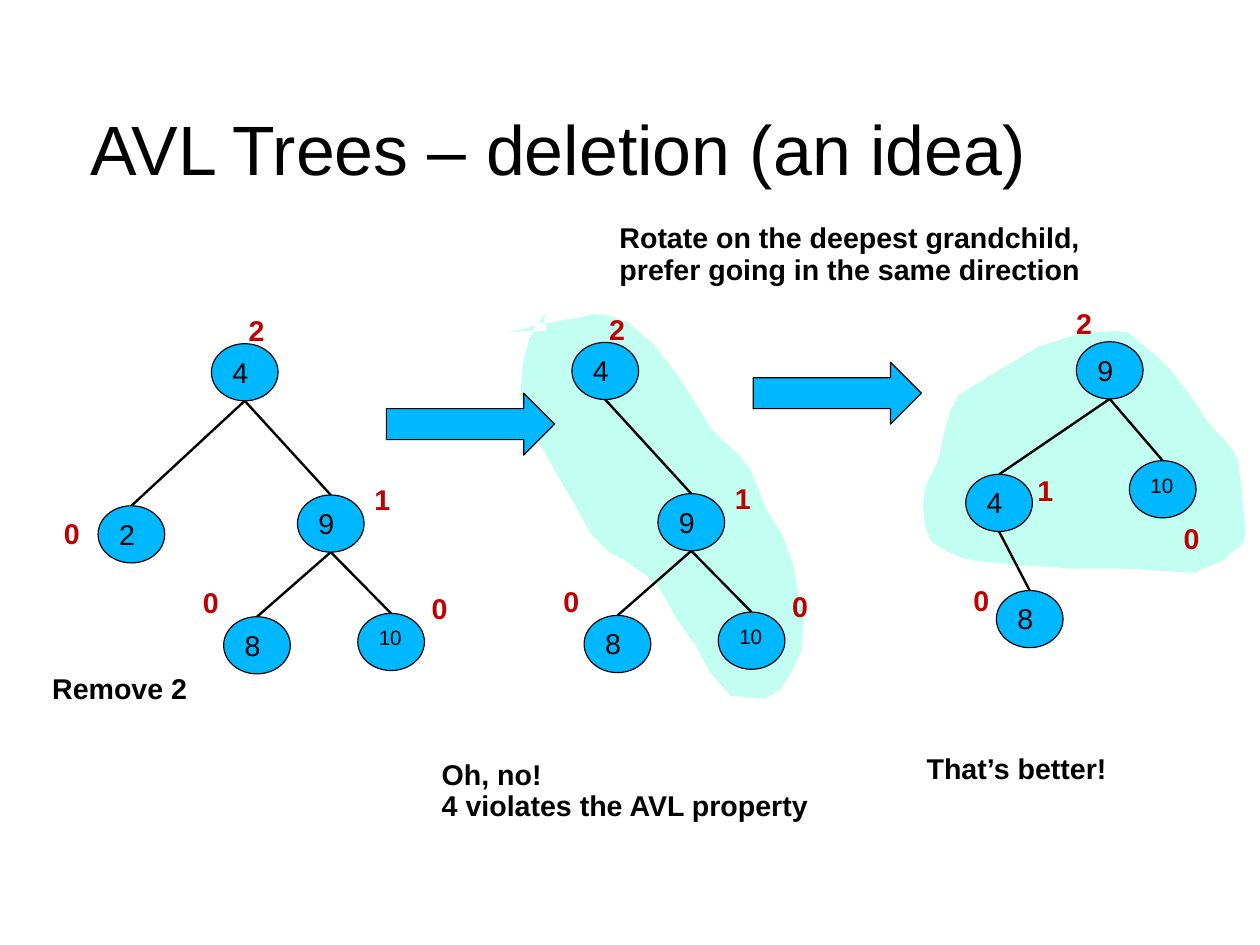
from dataclasses import dataclass
from typing import Any

from lxml import etree
from pptx import Presentation
from pptx import util as u
from pptx.dml import color
from pptx.enum import shapes as sh, text as tx
from pptx.oxml import ns

Pt = u.Pt
HUE = {"ink": "000000", "node": "00B8FF", "tag": "C00000", "glow": "C2FFF0", "rim": "FFFFFF"}
W, H = 42, 36  # node size
PLAIN = {"size": Pt(18), "name": "Arial", "bold": False}
SMALL = {**PLAIN, "size": Pt(13)}
BOLD = {**PLAIN, "bold": True}
HEAD = {**PLAIN, "size": Pt(44)}


@dataclass(frozen=True)
class Node:
    key: str
    x: float
    y: float
    tag: str
    tag_x: float
    tag_y: float
    root: str = ""

    def move(self, dx: float, dy: float, root: str) -> "Node":
        return Node(self.key, self.x + dx, self.y + dy, self.tag,
                    self.tag_x + dx, self.tag_y + dy, root)


@dataclass(frozen=True)
class Note:
    words: str
    x: float
    y: float
    w: float
    h: float


# Trees: before, after the removal, after the rotation
FIRST = [
    Node("4", 133.2, 216.5, "2", 149.6, 195.5),
    Node("9", 187.4, 311.8, "1", 228.8, 302.2, "4"),
    Node("2", 61.8, 318.6, "0", 33.1, 323.2, "4"),
    Node("8", 140.9, 388.5, "0", 120.8, 367.1, "9"),
    Node("10", 225.4, 386.4, "0", 264.8, 370.4, "9"),
]
NEXT = [n.move(227.1, -0.8, n.root) for n in FIRST if n.key != "2"]
LAST = [
    Node("9", 678.1, 215.3, "2", 670.9, 190.8),
    Node("4", 608.4, 298.8, "1", 646.4, 296.3, "9"),
    Node("10", 711.5, 290.2, "0", 738.5, 326.6, "9"),
    Node("8", 627.7, 372, "0", 606.1, 365.5, "4"),
]
NOTES = [
    Note("Remove 2", 25.8, 420.9, 124, 27.4),
    Note("Oh, no!\n4 violates the AVL property", 271.2, 474.9, 245.5, 47.5),
    Note("That’s better!", 576.7, 471.3, 210, 27.4),
    Note("Rotate on the deepest grandchild,\vprefer going in the same direction",
         383.2, 136.8, 335.5, 47.5),
]
ARROWS = [(243.4, 247.7), (474.5, 228.2)]

# Outlines of the glowing areas
CHAIN = [
    (315.4, 210.2), (341.3, 203.8), (366, 199.4), (373.7, 197.3), (384.5, 198.7),
    (395.3, 202.3), (412, 216.4), (428, 237), (441, 257.6), (448.6, 270), (467.3, 288),
    (473, 295.2), (483, 320.4), (493.6, 337.3), (500.4, 356.4), (504, 378), (507, 384.5),
    (505.4, 409.7), (499.4, 423), (491.8, 435), (481.7, 440.6), (463, 439), (460, 438.5),
    (447.3, 424.3), (437.8, 406.8), (425.5, 389.5), (419, 377), (411, 365.8), (392, 352.5),
    (383.8, 348.5), (371.5, 336.2), (360.7, 316), (358.6, 313), (332, 266.4), (329, 256),
    (327.6, 245), (329, 228), (333.4, 212.4), (342, 198.7), (343.4, 195.1), (343.4, 208),
]
CROWN = [
    (604, 248), (629, 233), (654, 218), (681, 209.5), (704, 208), (711, 209), (719, 216),
    (728, 223), (737, 232), (745, 242), (754, 254), (758, 261), (765, 270), (771, 276),
    (777, 283.5), (780.5, 290), (783, 313), (785, 335.5), (783, 343.5), (776, 348.5),
    (771, 353.5), (762, 357), (753, 361), (747, 361), (732, 360), (717, 359), (697, 358.5),
    (674, 358.5), (654, 357), (640, 356.5), (628, 355), (616, 354), (606, 352),
    (598, 348.5), (592.5, 345.5), (586, 341), (582, 330.5), (581, 318), (583, 305),
    (587.5, 296), (591, 289), (594, 274), (598, 259),
]


def rgb(name: str) -> color.RGBColor:
    return color.RGBColor.from_string(HUE[name])


def paint(shape: Any, fill: str, line: str) -> None:
    shape.shadow.inherit = False
    shape.fill.solid()
    shape.fill.fore_color.rgb = rgb(fill)
    shape.line.color.rgb = rgb(line)
    shape.line.width = Pt(0.75)


def write(shape: Any, words: str, form: dict[str, Any], hue: str = "ink",
          wrap: bool = True, anchor: Any = tx.MSO_ANCHOR.TOP) -> None:
    frame = shape.text_frame
    frame.text = words
    frame.word_wrap = wrap
    frame.vertical_anchor = anchor
    for par in frame.paragraphs:
        par.alignment = tx.PP_ALIGN.LEFT
        par.line_spacing = 0.93
        for run in par.runs:
            for name, value in form.items():
                setattr(run.font, name, value)
            run.font.color.rgb = rgb(hue)


def label(page: Any, note: Note, hue: str = "ink", wrap: bool = True) -> None:
    box = page.shapes.add_textbox(Pt(note.x), Pt(note.y), Pt(note.w), Pt(note.h))
    write(box, note.words, BOLD, hue, wrap)


def blob(page: Any, dots: list[tuple[float, float]]) -> None:
    ends = [(Pt(x), Pt(y)) for x, y in dots]
    pen = page.shapes.build_freeform(*ends[0])
    pen.add_line_segments(ends[1:], close=True)
    paint(pen.convert_to_shape(), "glow", "rim")


def edge(page: Any, top: Node, low: Node) -> None:
    line = page.shapes.add_connector(
        sh.MSO_CONNECTOR.STRAIGHT, Pt(top.x + W / 2), Pt(top.y + H),
        Pt(low.x + W / 2), Pt(low.y))
    line.line.color.rgb = rgb("ink")
    line.line.width = Pt(1.5)
    etree.SubElement(line._element.spPr, ns.qn("a:effectLst"))


def tree(page: Any, nodes: list[Node]) -> None:
    keys = {n.key: n for n in nodes}
    for n in nodes:
        if n.root:
            edge(page, keys[n.root], n)
    for n in nodes:
        disc = page.shapes.add_shape(sh.MSO_SHAPE.OVAL, Pt(n.x), Pt(n.y), Pt(W), Pt(H))
        paint(disc, "node", "ink")
        write(disc, n.key, SMALL if len(n.key) > 1 else PLAIN)
        label(page, Note(n.tag, n.tag_x, n.tag_y, 24.5, 27.4), "tag", False)


deck = Presentation()
deck.slide_width, deck.slide_height = Pt(793.75), Pt(595.25)
page = deck.slides.add_slide(deck.slide_layouts[5])

# Glowing areas behind the trees
for dots in (CROWN, CHAIN):
    blob(page, dots)

# Title
title = page.shapes.title
place = {"left": Pt(56.9), "top": Pt(45), "width": Pt(666), "height": Pt(98.6)}
for name, value in place.items():
    setattr(title, name, value)
write(title, "AVL Trees – deletion (an idea)", HEAD, anchor=tx.MSO_ANCHOR.MIDDLE)
inset = {"margin_left": 0, "margin_top": Pt(2.9), "margin_right": 0, "margin_bottom": 0,
         "auto_size": tx.MSO_AUTO_SIZE.NONE}
for name, value in inset.items():
    setattr(title.text_frame, name, value)

# Trees, arrows and captions
for nodes in (FIRST, NEXT, LAST):
    tree(page, nodes)
for x, y in ARROWS:
    arrow = page.shapes.add_shape(sh.MSO_SHAPE.RIGHT_ARROW, Pt(x), Pt(y), Pt(106), Pt(39))
    paint(arrow, "node", "ink")
for note in NOTES:
    label(page, note)

deck.save("out.pptx")
